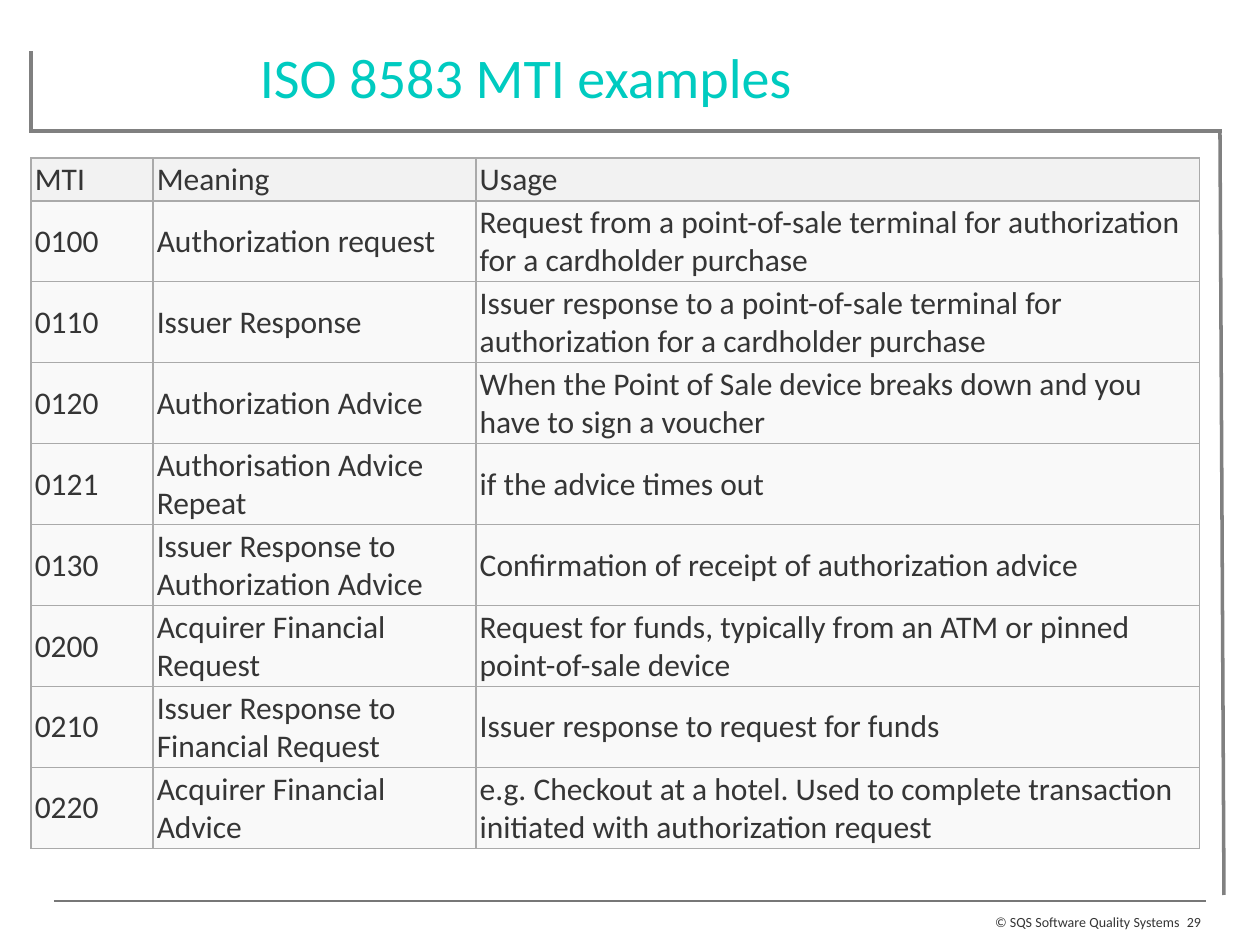
from dataclasses import dataclass

from lxml import etree
from pptx import Presentation
from pptx import util as u
from pptx.dml.color import RGBColor
from pptx.enum import shapes, text
from pptx.oxml.ns import qn

EMU_PER_PX = 914400 / 126


@dataclass(frozen=True)
class Theme:
    font: str = "Calibri"
    title: str = "00CBC0"
    ink: str = "353535"
    frame: str = "808080"
    rule: str = "777777"
    border: str = "AAAAAA"
    head_fill: str = "F2F2F2"
    body_fill: str = "F9F9F9"
    title_pt: int = 32
    table_pt: int = 18
    footer_pt: int = 8


T = Theme()
COLUMNS = (122, 323, 724)
HEAD_HEIGHT, ROW_HEIGHT = 43, 81
ROWS = (
    ("MTI", "Meaning", "Usage"),
    ("0100", "Authorization request",
     "Request from a point-of-sale terminal for authorization for a cardholder purchase"),
    ("0110", "Issuer Response",
     "Issuer response to a point-of-sale terminal for authorization for a cardholder purchase"),
    ("0120", "Authorization Advice",
     "When the Point of Sale device breaks down and you have to sign a voucher"),
    ("0121", "Authorisation Advice Repeat", "if the advice times out"),
    ("0130", "Issuer Response to Authorization Advice",
     "Confirmation of receipt of authorization advice"),
    ("0200", "Acquirer Financial Request",
     "Request for funds, typically from an ATM or pinned point-of-sale device"),
    ("0210", "Issuer Response to Financial Request",
     "Issuer response to request for funds"),
    ("0220", "Acquirer Financial Advice",
     "e.g. Checkout at a hotel. Used to complete transaction initiated with authorization request"),
)


def px(n):
    return u.Emu(round(n * EMU_PER_PX))


def set_font(p, size, color):
    p.font.name = T.font
    p.font.size = u.Pt(size)
    p.font.color.rgb = RGBColor.from_string(color)


def add_line(s, x1, y1, x2, y2, color, width):
    ln = s.shapes.add_connector(shapes.MSO_CONNECTOR.STRAIGHT,
                                px(x1), px(y1), px(x2), px(y2))
    ln.line.color.rgb = RGBColor.from_string(color)
    ln.line.width = u.Pt(width)
    etree.SubElement(ln._element.spPr, qn("a:effectLst"))


def add_text(s, box, content, size, color, align, inset=0, spacing=None):
    tf = s.shapes.add_textbox(*map(px, box)).text_frame
    tf.word_wrap = True
    tf.margin_left = tf.margin_right = px(2 * inset)
    tf.margin_top = tf.margin_bottom = px(inset)
    p = tf.paragraphs[0]
    p.text = content
    p.alignment = align
    p.line_spacing = spacing
    set_font(p, size, color)


def set_borders(cell):
    tc_pr = cell._tc.get_or_add_tcPr()
    for i, side in enumerate(("lnL", "lnR", "lnT", "lnB")):
        ln = etree.Element(qn(f"a:{side}"), w=str(u.Pt(0.75)))
        fill = etree.SubElement(ln, qn("a:solidFill"))
        etree.SubElement(fill, qn("a:srgbClr"), val=T.border)
        tc_pr.insert(i, ln)  # borders come before the fill


def fill_cell(cell, content, fill):
    cell.fill.solid()
    cell.fill.fore_color.rgb = RGBColor.from_string(fill)
    set_borders(cell)
    cell.vertical_anchor = text.MSO_ANCHOR.MIDDLE
    cell.margin_left = cell.margin_right = u.Inches(0.03)
    cell.margin_top = cell.margin_bottom = u.Inches(0.02)
    p = cell.text_frame.paragraphs[0]
    p.text = content
    set_font(p, T.table_pt, T.ink)


def add_mti_table(s, x, y):
    heights = [HEAD_HEIGHT] + [ROW_HEIGHT] * (len(ROWS) - 1)
    table = s.shapes.add_table(len(ROWS), len(COLUMNS), px(x), px(y),
                               px(sum(COLUMNS)), px(sum(heights))).table
    table.horz_banding = False
    for col, width in zip(table.columns, COLUMNS):
        col.width = px(width)
    for i, (row, height) in enumerate(zip(table.rows, heights)):
        row.height = px(height)
        for cell, content in zip(row.cells, ROWS[i]):
            fill_cell(cell, content, T.body_fill if i else T.head_fill)


def main():
    prs = Presentation()
    prs.slide_width, prs.slide_height = px(1260), px(945)
    s = prs.slides.add_slide(prs.slide_layouts[6])
    align = text.PP_ALIGN

    add_line(s, 54, 901, 1206, 901, T.rule, 0.75)
    add_text(s, (0, 37, 1052, 99), "ISO 8583 MTI examples",
             T.title_pt, T.title, align.CENTER, inset=6)
    for ends in ((29, 131, 1222, 131), (31, 133, 31, 51), (1220, 131, 1224, 895)):
        add_line(s, *ends, T.frame, 2)
    add_mti_table(s, 31, 158)
    add_text(s, (54, 915, 1126, 19), "© SQS Software Quality Systems",
             T.footer_pt, T.ink, align.RIGHT, spacing=0.95)
    add_text(s, (1182, 915, 24, 18), "29",
             T.footer_pt, T.ink, align.CENTER, spacing=0.95)
    prs.save("out.pptx")


if __name__ == "__main__":
    main()
